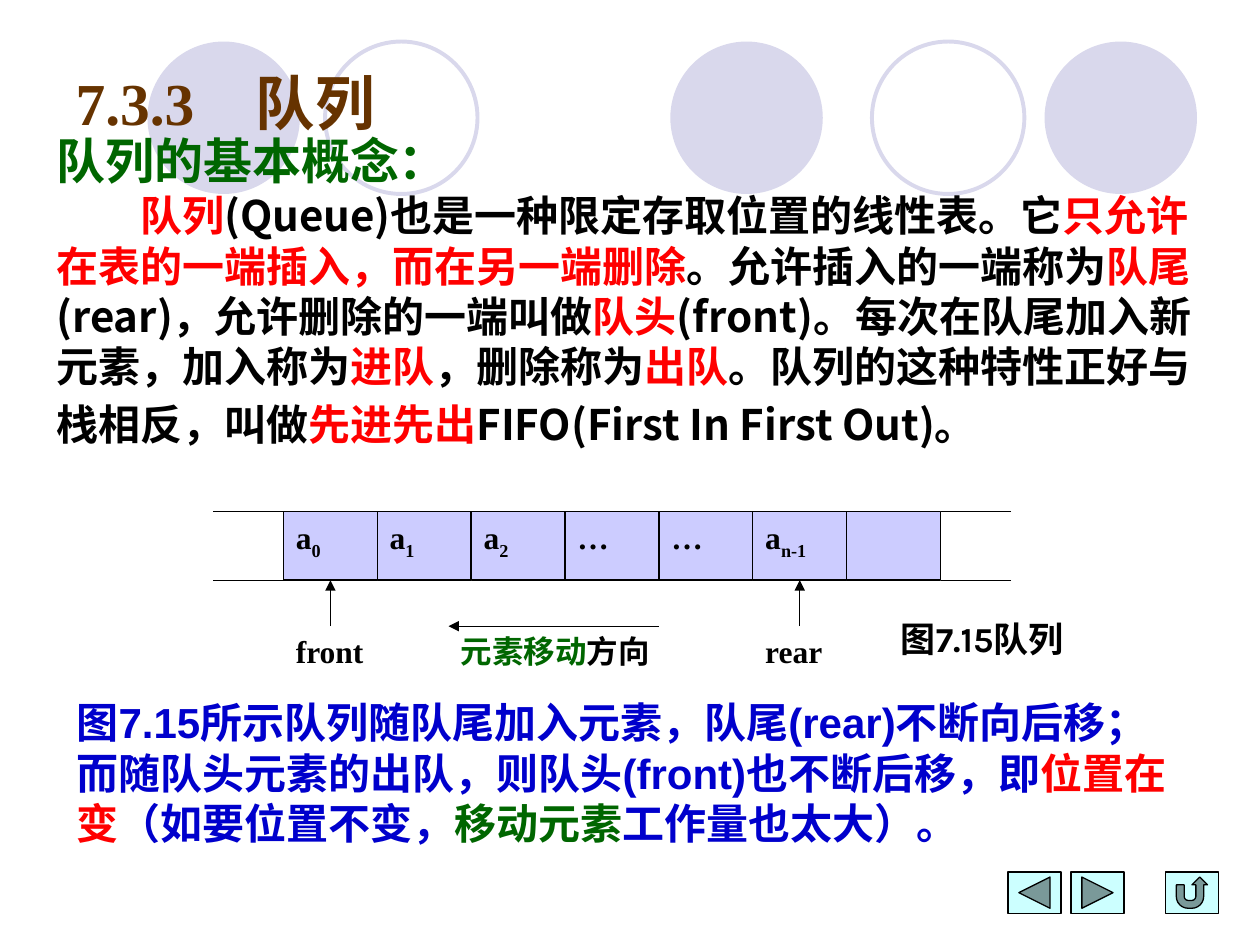
from dataclasses import dataclass

from lxml.etree import SubElement
from pptx import Presentation
from pptx.dml.color import RGBColor
from pptx.enum.shapes import MSO_CONNECTOR as Connector, MSO_SHAPE as Shape
from pptx.enum.text import MSO_ANCHOR as Anchor, PP_ALIGN as Align
from pptx.oxml.ns import qn
from pptx.util import Inches, Pt


@dataclass(frozen=True)
class Theme:
    circle: str = "D9D8EC"
    title: str = "663300"
    green: str = "006600"
    red: str = "FF0000"
    blue: str = "0000CC"
    black: str = "000000"
    cell: str = "CCCCFF"
    button: str = "CCFFFF"
    serif: str = "Times New Roman"
    sans: str = "Arial"
    cjk: str = "Noto Sans CJK SC"
    figure: str = "Karla"
    title_size: float = 34
    heading_size: float = 28
    body_size: float = 24
    caption_size: float = 20
    label_size: float = 18
    thin: float = 0.75
    ring: float = 2.25


class SlideBuilder:
    COLUMNS, ROWS = 100, 75

    def __init__(self, deck, theme):
        self.deck = deck
        self.theme = theme
        self.slide = deck.slides.add_slide(deck.slide_layouts[5])

    def x(self, columns):
        return int(self.deck.slide_width * columns / self.COLUMNS)

    def y(self, rows):
        return int(self.deck.slide_height * rows / self.ROWS)

    def box(self, left, top, width, height):
        return self.x(left), self.y(top), self.x(width), self.y(height)

    def add_runs(self, paragraph, runs, size, font, align=Align.LEFT):
        paragraph.alignment = align
        paragraph.font.size = Pt(size)
        paragraph.font.bold = True
        for text, color, *changes in runs:
            run = paragraph.add_run()
            run.text = text
            style = dict(*changes)
            run.font.size = Pt(style.get("size", size))
            run.font.bold = True
            run.font.name = style.get("font", font)
            run.font.color.rgb = RGBColor.from_string(color)
            properties = run.font._element
            SubElement(properties, qn("a:ea")).set("typeface", self.theme.cjk)
            if "baseline" in style:
                properties.set("baseline", str(style["baseline"]))

    def title(self, text, box, tab):
        heading = self.slide.shapes.title
        heading.left, heading.top, heading.width, heading.height = self.box(*box)
        heading.text_frame.vertical_anchor = Anchor.MIDDLE
        paragraph = heading.text_frame.paragraphs[0]
        stops = SubElement(paragraph._p.get_or_add_pPr(), qn("a:tabLst"))
        SubElement(stops, qn("a:tab"), pos=str(self.x(tab)), algn="l")
        self.add_runs(paragraph, [(text, self.theme.title)],
                      self.theme.title_size, self.theme.serif)
        self.slide.shapes._spTree.append(heading._element)

    def text(self, box):
        frame = self.slide.shapes.add_textbox(*self.box(*box)).text_frame
        frame.word_wrap = True
        return frame

    def label(self, runs, box):
        self.add_runs(self.text(box).paragraphs[0], runs, self.theme.label_size,
                      self.theme.serif, Align.JUSTIFY)

    def shape(self, kind, box, fill=None, line=None, weight=0.75):
        shape = self.slide.shapes.add_shape(kind, *self.box(*box))
        shape.shadow.inherit = False
        if fill:
            shape.fill.solid()
            shape.fill.fore_color.rgb = RGBColor.from_string(fill)
        else:
            shape.fill.background()
        if line:
            shape.line.color.rgb = RGBColor.from_string(line)
            shape.line.width = Pt(weight)
        else:
            shape.line.fill.background()
        return shape

    def cell(self, runs, box):
        theme = self.theme
        frame = self.shape(Shape.RECTANGLE, box, theme.cell, theme.black, theme.thin).text_frame
        frame.vertical_anchor = Anchor.TOP
        self.add_runs(frame.paragraphs[0], runs, theme.label_size, theme.serif, Align.JUSTIFY)

    def line(self, start, end, arrow=False):
        line = self.slide.shapes.add_connector(
            Connector.STRAIGHT, self.x(start[0]), self.y(start[1]), self.x(end[0]), self.y(end[1]))
        line.line.color.rgb = RGBColor.from_string(self.theme.black)
        line.line.width = Pt(self.theme.thin)
        if arrow:
            SubElement(line.line._get_or_add_ln(), qn("a:tailEnd"), type="triangle")
        SubElement(line._element.spPr, qn("a:effectLst"))


def draw_header(page, theme):
    for left in (53.2, 82.9, 11.7):
        page.shape(Shape.OVAL, (left, 3.3, 12.1, 12.1), theme.circle)
    for left in (69.2, 25.8):
        page.shape(Shape.OVAL, (left, 3.3, 12.1, 12.1), None, theme.circle, theme.ring)
    page.title("7.3.3\t队列", (5, 3, 90, 10.1), 14.3)


def draw_concept(page, theme):
    black, red = theme.black, theme.red
    frame = page.text((3.5, 9.9, 93.7, 30.4))
    page.add_runs(frame.paragraphs[0], [("队列的基本概念：", theme.green)],
                  theme.heading_size, theme.cjk)
    definition = frame.add_paragraph()
    definition._p.get_or_add_pPr().set("indent", str(Pt(2 * theme.body_size)))
    page.add_runs(definition, [
        ("队列", red),
        ("(Queue)也是一种限定存取位置的线性表。它", black),
        ("只允许在表的一端插入，而在另一端删除", red),
        ("。允许插入的一端称为", black),
        ("队尾", red),
        ("(rear)，允许删除的一端叫做", black),
        ("队头", red),
        ("(front)。每次在队尾加入新元素，加入称为", black),
        ("进队", red),
        ("，删除称为", black),
        ("出队", red),
        ("。队列的这种特性正好与栈相反，叫做", black),
        ("先进先出", red),
        ("FIFO(First In First Out)。", black),
        (" ", black, {"size": theme.heading_size}),
    ], theme.body_size, theme.cjk)


def draw_queue(page, theme):
    left, top, width, height = 22.5, 40.6, 7.45, 5.45
    bottom, label_top, overhang = top + height, 49.7, 5.6
    black = theme.black
    elements = [("a", "0"), ("a", "1"), ("a", "2"), ("…", ""), ("…", ""), ("a", "n-1"), ("", "")]
    for index, (name, subscript) in enumerate(elements):
        runs = [(name, black), (subscript, black, {"baseline": -25000})]
        page.cell([run for run in runs if run[0]], (left + index * width, top, width, height))
    right = left + len(elements) * width
    for edge in (top, bottom):
        page.line((left, edge), (left - overhang, edge))
        page.line((right + overhang, edge), (right, edge))
    for index, pointer in ((0, "front"), (5, "rear")):
        start = left + index * width
        page.label([(pointer, black)], (start, label_top, width, height))
        page.line((start + width / 2, label_top), (start + width / 2, bottom), True)
    page.label([("元素移动", theme.green), ("方向", black)], (35.6, label_top, 18.4, height))
    page.line((52.3, label_top), (35.6, label_top), True)
    caption = page.text((70.5, 48.5, 22.5, 4.4)).paragraphs[0]
    page.add_runs(caption, [("图", black), ("7.15", black, {"font": theme.figure}), ("队列", black)],
                  theme.caption_size, theme.serif)


def draw_remark(page, theme):
    page.add_runs(page.text((5.1, 54.8, 89.8, 13)).paragraphs[0], [
        ("图7.15所示队列随队尾加入元素，队尾(rear)不断向后移；"
         "而随队头元素的出队，则队头(front)也不断后移，即", theme.blue),
        ("位置在变", theme.red),
        ("（如要位置不变，", theme.blue),
        ("移动元素", theme.green),
        ("工作量也太大）。", theme.blue),
    ], theme.body_size, theme.sans)


def draw_navigation(page, theme):
    buttons = [(80, Shape.ACTION_BUTTON_BACK_OR_PREVIOUS),
               (85, Shape.ACTION_BUTTON_FORWARD_OR_NEXT),
               (92.5, Shape.ACTION_BUTTON_RETURN)]
    for left, kind in buttons:
        page.shape(kind, (left, 69.2, 4.2, 3.3), theme.button, theme.black, theme.thin)


def main():
    deck = Presentation()
    deck.slide_width, deck.slide_height = Inches(10), Inches(7.5)
    theme = Theme()
    page = SlideBuilder(deck, theme)
    for draw in (draw_header, draw_concept, draw_queue, draw_navigation, draw_remark):
        draw(page, theme)
    deck.save("out.pptx")


if __name__ == "__main__":
    main()
